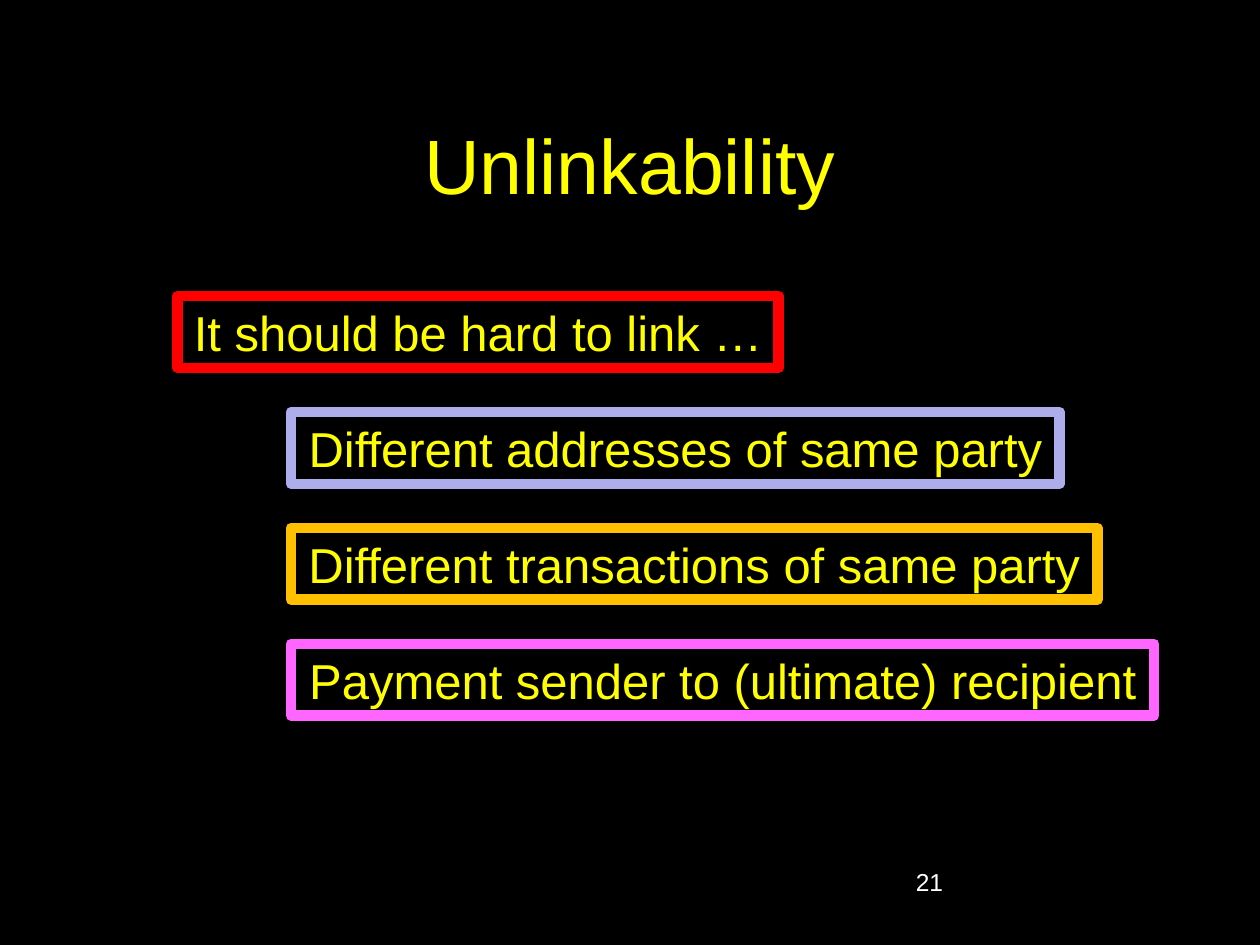
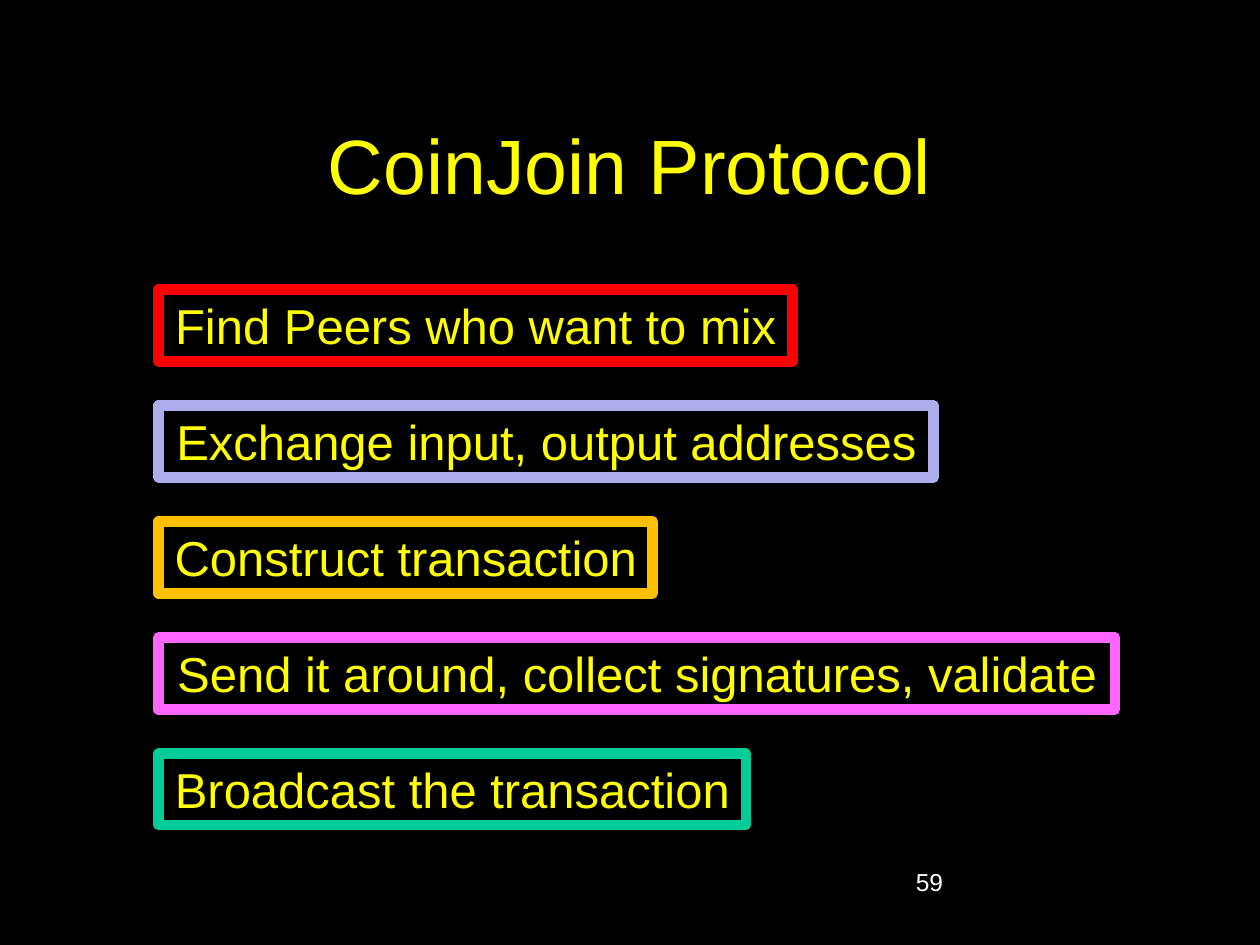
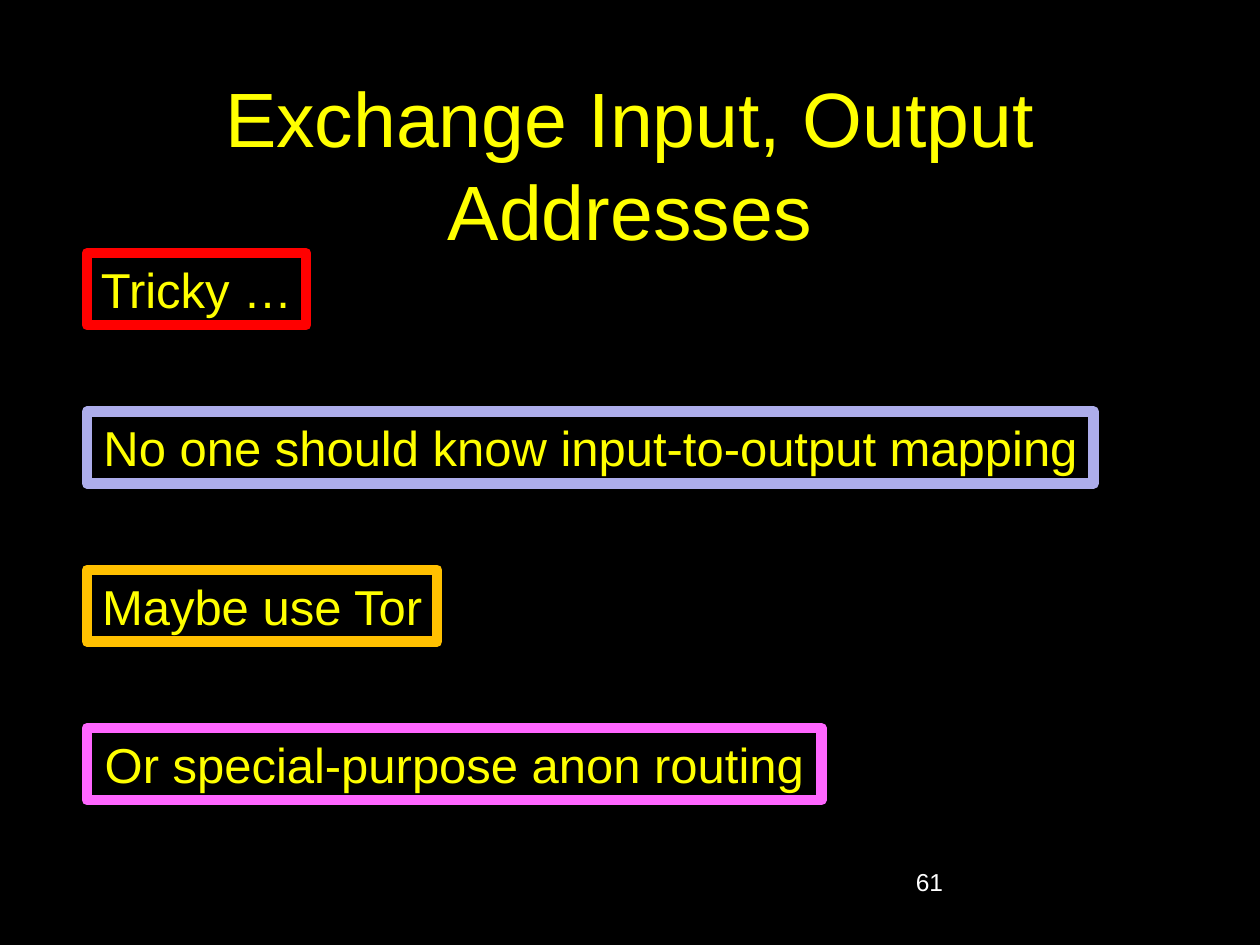
from dataclasses import dataclass
from pptx import Presentation
from pptx.dml.color import RGBColor
from pptx.enum.shapes import MSO_SHAPE
from pptx.enum.text import MSO_ANCHOR, MSO_AUTO_SIZE, PP_ALIGN
from pptx.util import Inches, Pt


@dataclass(frozen=True)
class Theme:
    font: str = "Arial"
    back: str = "000000"
    text: str = "FFFF00"
    page: str = "FFFFFF"
    rims: tuple = ("FF0000", "ADADEB", "FFC000", "FF66FF", "00CC99")
    head: int = 44
    body: int = 28
    foot: int = 14
    rim: int = 6


@dataclass(frozen=True)
class Box:
    left: float
    top: float
    width: float
    height: float

    def place(self):
        return [Inches(side * UNIT) for side in (self.left, self.top, self.width, self.height)]


THEME = Theme()
WIDE, HIGH = 10, 7.5
COLS = 10
UNIT = WIDE / COLS
TITLE = Box(0.75, 0.67, 8.5, 1.25)
PAGE = Box(7.17, 6.83, 2.08, 0.5)
ROW = 0.57


def paint(fill, color):
    fill.solid()
    fill.fore_color.rgb = RGBColor.from_string(color)


def write(shape, text, size=THEME.body, color=THEME.text, align=PP_ALIGN.CENTER,
          anchor=MSO_ANCHOR.TOP, wrap=True, fit=MSO_AUTO_SIZE.NONE):
    frame = shape.text_frame
    frame.word_wrap = wrap
    frame.auto_size = fit
    frame.vertical_anchor = anchor
    para = frame.paragraphs[0]
    para.alignment = align
    run = para.add_run()
    run.text = text
    run.font.name = THEME.font
    run.font.size = Pt(size)
    run.font.color.rgb = RGBColor.from_string(color)


def add_title(slide, box, text):
    write(slide.shapes.add_textbox(*box.place()), text, size=THEME.head,
          anchor=MSO_ANCHOR.MIDDLE)


def add_page(slide, box, number):
    write(slide.shapes.add_textbox(*box.place()), str(number), size=THEME.foot,
          color=THEME.page, align=PP_ALIGN.LEFT)


def add_point(slide, box, text, rim):
    shape = slide.shapes.add_shape(MSO_SHAPE.RECTANGLE, *box.place())
    shape.shadow.inherit = False
    paint(shape.fill, THEME.back)
    paint(shape.line.fill, rim)
    shape.line.width = Pt(THEME.rim)
    write(shape, text, wrap=False, fit=MSO_AUTO_SIZE.SHAPE_TO_FIT_TEXT)


def add_list(slide, box, points, indent=0):
    step = (box.height - ROW) / (len(points) - 1)
    for row, (text, width) in enumerate(points):
        left = box.left + (indent if row else 0)
        spot = Box(left, box.top + row * step, width, ROW)
        add_point(slide, spot, text, THEME.rims[row])


def add_slide(deck, title, number, box, points, indent=0):
    slide = deck.slides.add_slide(deck.slide_layouts[6])
    add_title(slide, TITLE, title)
    add_page(slide, PAGE, number)
    add_list(slide, box, points, indent)


def main():
    deck = Presentation()
    deck.slide_width, deck.slide_height = Inches(WIDE), Inches(HIGH)
    paint(deck.slide_master.background.fill, THEME.back)

    add_slide(deck, "Unlinkability", 21, Box(1.41, 2.35, 7.75, 3.33), [
        ("It should be hard to link …", 4.77),
        ("Different addresses of same party", 6.1),
        ("Different transactions of same party", 6.4),
        ("Payment sender to (ultimate) recipient", 6.85),
    ], indent=0.9)

    add_slide(deck, "CoinJoin Protocol", 59, Box(1.26, 2.3, 7.59, 4.25), [
        ("Find Peers who want to mix", 5.03),
        ("Exchange input, output addresses", 6.15),
        ("Construct transaction", 3.92),
        ("Send it around, collect signatures, validate", 7.59),
        ("Broadcast the transaction", 4.66),
    ])

    add_slide(deck, "Exchange Input, Output Addresses", 61, Box(0.69, 2.01, 7.99, 4.34), [
        ("Tricky …", 1.74),
        ("No one should know input-to-output mapping", 7.99),
        ("Maybe use Tor", 2.78),
        ("Or special-purpose anon routing", 5.83),
    ])

    deck.save("out.pptx")


if __name__ == "__main__":
    main()
